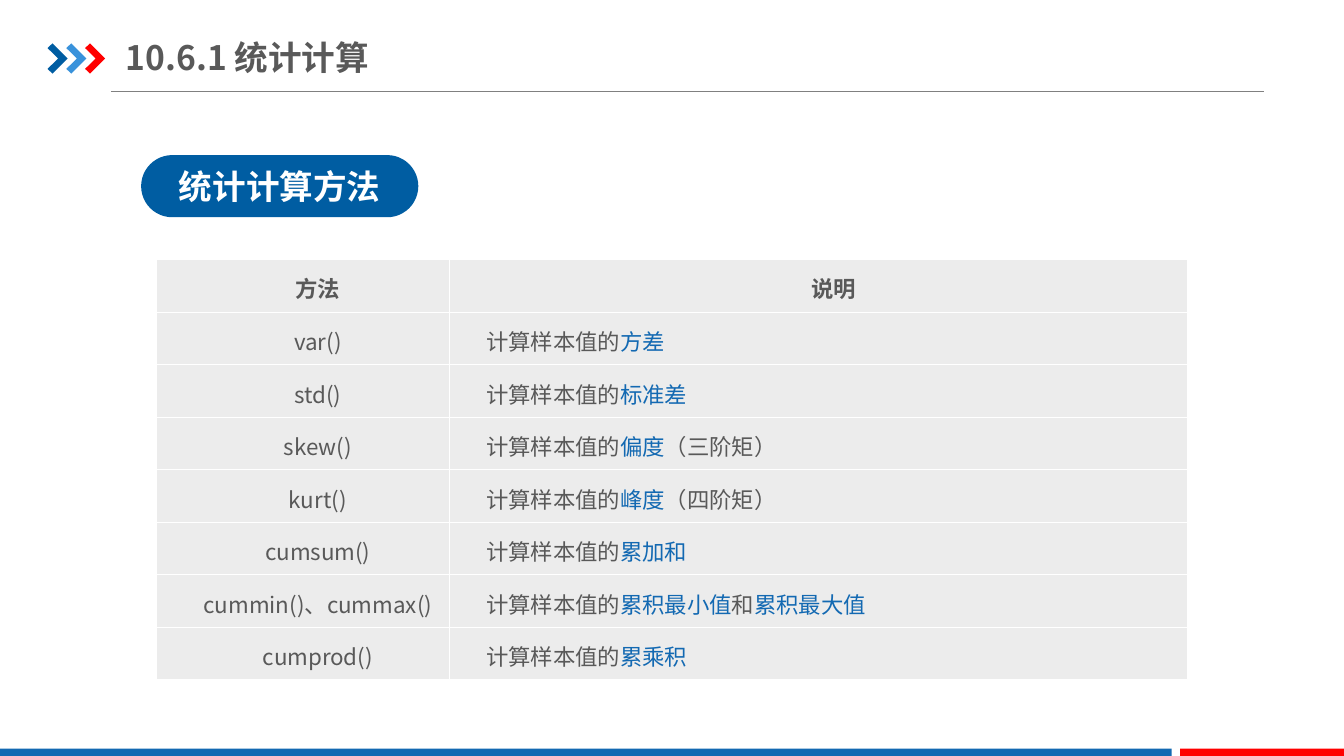
from pptx import Presentation
from pptx.dml.color import RGBColor
from pptx.enum import shapes, text
from pptx.oxml import parse_xml
from pptx.oxml.ns import nsdecls
from pptx.util import Pt


class Theme:
    font = "Noto Sans CJK SC"
    navy, blue, sky = "005DA2", "1369B2", "3992DB"
    red, white, pale = "FF0000", "FFFFFF", "ECECEC"
    ink, rule = "595959", "808080"
    head, body = 24, 16


def paint(shape, color):
    shape.shadow.inherit = False
    shape.fill.solid()
    shape.fill.fore_color.rgb = RGBColor.from_string(color)
    shape.line.fill.background()


def style(para, size, color, bold, align):
    para.alignment = align
    font = para.font
    font.size, font.bold, font.name = Pt(size), bold, Theme.font
    font.color.rgb = RGBColor.from_string(color)
    # East Asian text takes its typeface from a:ea
    para._p.pPr.defRPr.append(
        parse_xml(f'<a:ea {nsdecls("a")} typeface="{Theme.font}"/>'))


deck = Presentation()
deck.slide_width, deck.slide_height = Pt(960), Pt(540)
slide = deck.slides.add_slide(deck.slide_layouts[5])
items = slide.shapes
left, center = text.PP_ALIGN.LEFT, text.PP_ALIGN.CENTER
middle = text.MSO_ANCHOR.MIDDLE

# Header rule
rule = items.add_connector(
    shapes.MSO_CONNECTOR.STRAIGHT, Pt(79.2), Pt(65.4), Pt(903), Pt(65.4))
rule.line.color.rgb = RGBColor.from_string(Theme.rule)
rule.line.width = Pt(0.75)
rule._element.spPr.append(parse_xml(f'<a:effectLst {nsdecls("a")}/>'))

# Three chevrons
outline = [(0, 3.4), (3.5, 0), (14.4, 10.8), (3.5, 21.6), (0, 18.2), (7.6, 10.8)]
for i, color in enumerate([Theme.navy, Theme.sky, Theme.red]):
    points = [(Pt(34 + 13.4 * i + x), Pt(31 + y)) for x, y in outline]
    pen = items.build_freeform(*points[0])
    pen.add_line_segments(points[1:], close=True)
    paint(pen.convert_to_shape(), color)

# Footer bars
for x, width, color in [(0, 837, Theme.blue), (843, 117, Theme.red)]:
    bar = items.add_shape(
        shapes.MSO_SHAPE.RECTANGLE, Pt(x), Pt(534.8), Pt(width), Pt(6.2))
    paint(bar, color)

# Title
title = items.title
title.left, title.top, title.width, title.height = Pt(90), Pt(21), Pt(327.6), Pt(39.6)
frame = title.text_frame
frame.text = "10.6.1 统计计算"
frame.vertical_anchor = middle
frame.margin_left = frame.margin_right = 0
frame.margin_top = frame.margin_bottom = Pt(5)
style(frame.paragraphs[0], Theme.head, Theme.ink, True, left)

# Section pill
pill = items.add_shape(
    shapes.MSO_SHAPE.ROUNDED_RECTANGLE, Pt(100.8), Pt(110.8), Pt(198), Pt(44.4))
pill.adjustments[0] = 0.5
paint(pill, Theme.navy)
pill.text_frame.text = "统计计算方法"
pill.text_frame.vertical_anchor = middle
style(pill.text_frame.paragraphs[0], Theme.head, Theme.white, True, center)

# Method table: every second piece of a description is highlighted
rows = [
    ("方法", ["说明"]),
    ("var()", ["计算样本值的", "方差"]),
    ("std()", ["计算样本值的", "标准差"]),
    ("skew()", ["计算样本值的", "偏度", "（三阶矩）"]),
    ("kurt()", ["计算样本值的", "峰度", "（四阶矩）"]),
    ("cumsum()", ["计算样本值的", "累加和"]),
    ("cummin()、cummax()", ["计算样本值的", "累积最小值", "和", "累积最大值"]),
    ("cumprod()", ["计算样本值的", "累乘积"]),
]
table = items.add_table(
    len(rows), 2, Pt(111.8), Pt(185.4), Pt(736.5), Pt(37.55 * len(rows))).table
table.first_row = table.horz_banding = False
table.columns[0].width, table.columns[1].width = Pt(209.5), Pt(527)

for r, (method, note) in enumerate(rows):
    table.rows[r].height = Pt(37.55)
    for c, parts in enumerate([[method], note]):
        cell = table.cell(r, c)
        cell.vertical_anchor = middle
        cell.margin_left = cell.margin_right = Pt(5)
        cell.margin_top = cell.margin_bottom = 0
        for side in "LRTB":
            cell._tc.get_or_add_tcPr().append(parse_xml(
                f'<a:ln{side} {nsdecls("a")} w="{Pt(1)}"><a:solidFill>'
                f'<a:srgbClr val="{Theme.white}"/></a:solidFill></a:ln{side}>'))
        cell.fill.solid()
        cell.fill.fore_color.rgb = RGBColor.from_string(Theme.pale)
        para = cell.text_frame.paragraphs[0]
        para.line_spacing = 1.15
        style(para, Theme.body, Theme.ink, r == 0,
              center if r == 0 or c == 0 else left)
        para._p.pPr.set("marL", "0")
        para._p.pPr.set("indent", str(Pt(21)))
        for i, part in enumerate(parts):
            run = para.add_run()
            run.text = part
            if i % 2:
                run.font.color.rgb = RGBColor.from_string(Theme.blue)

deck.save("out.pptx")
